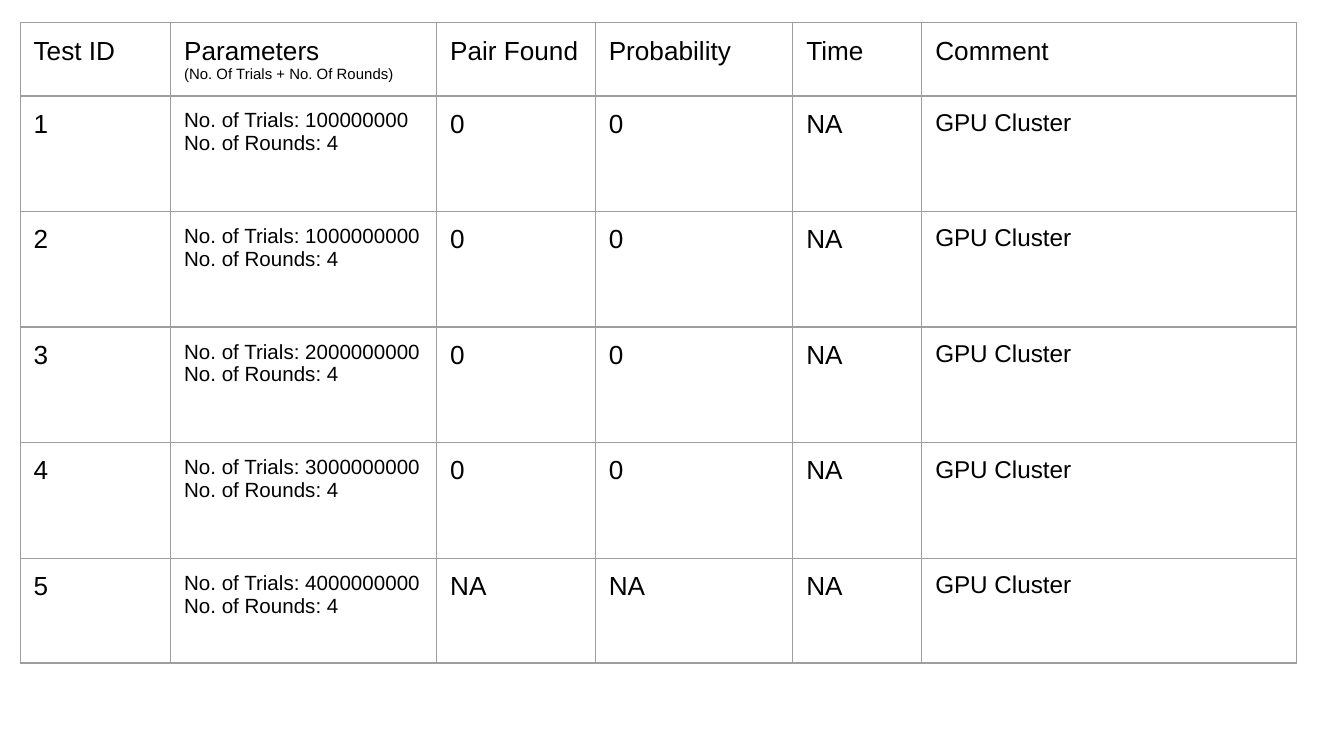
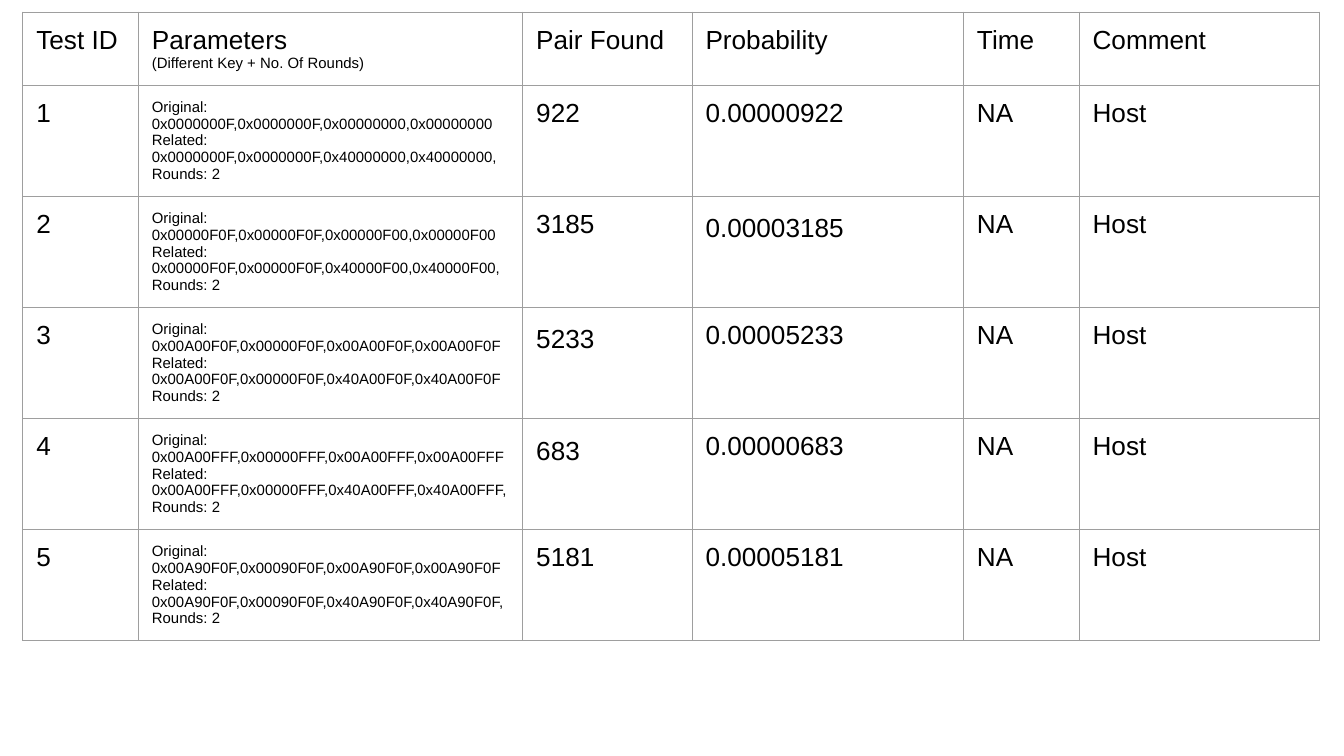
"""Build two slides of test result tables."""
import pptx
import pptx.dml.color
import pptx.oxml.ns
import pptx.util
from lxml import etree

Inches = pptx.util.Inches

GPU_TRIALS = [100000000, 1000000000, 2000000000, 3000000000, 4000000000]
KEY_TESTS = [
    ("0x0000000F,0x0000000F,0x00000000,0x00000000",
     "0x0000000F,0x0000000F,0x40000000,0x40000000,", "922", "0.00000922"),
    ("0x00000F0F,0x00000F0F,0x00000F00,0x00000F00",
     "0x00000F0F,0x00000F0F,0x40000F00,0x40000F00,", "3185", "0.00003185"),
    ("0x00A00F0F,0x00000F0F,0x00A00F0F,0x00A00F0F",
     "0x00A00F0F,0x00000F0F,0x40A00F0F,0x40A00F0F", "5233", "0.00005233"),
    ("0x00A00FFF,0x00000FFF,0x00A00FFF,0x00A00FFF",
     "0x00A00FFF,0x00000FFF,0x40A00FFF,0x40A00FFF,", "683", "0.00000683"),
    ("0x00A90F0F,0x00090F0F,0x00A90F0F,0x00A90F0F",
     "0x00A90F0F,0x00090F0F,0x40A90F0F,0x40A90F0F,", "5181", "0.00005181"),
]


def rgb(hex_string):
    return pptx.dml.color.RGBColor.from_string(hex_string)


def write_text(frame, text, *, font, color, size, later_size=None, spacing=None):
    for index, line in enumerate(text.split("\n")):
        paragraph = frame.paragraphs[0] if index == 0 else frame.add_paragraph()
        if spacing:
            paragraph.line_spacing = spacing
        run = paragraph.add_run()
        run.text = line
        run.font.name = font
        run.font.size = pptx.util.Pt(later_size if index and later_size else size)
        run.font.color.rgb = rgb(color)


class ResultDeck:
    font = "Arial"
    ink = "000000"
    grid = "9E9E9E"
    grid_width = 0.75
    inset = 0.1
    heading_size = 14
    note_size = 8

    def __init__(self):
        self.presentation = pptx.Presentation()
        self.presentation.slide_width = Inches(10)
        self.presentation.slide_height = Inches(10 * 9 / 16)
        self.slide = None

    def new_slide(self):
        blank = self.presentation.slide_layouts[6]
        self.slide = self.presentation.slides.add_slide(blank)

    def outline(self, cell):
        properties = cell._tc.get_or_add_tcPr()
        for side in ("a:lnL", "a:lnR", "a:lnT", "a:lnB"):
            line = etree.SubElement(properties, pptx.oxml.ns.qn(side),
                                    w=str(pptx.util.Pt(self.grid_width)))
            fill = etree.SubElement(line, pptx.oxml.ns.qn("a:solidFill"))
            etree.SubElement(fill, pptx.oxml.ns.qn("a:srgbClr"), val=self.grid)

    def fill_cell(self, cell, text, **text_format):
        inset = Inches(self.inset)
        cell.margin_left = cell.margin_right = inset
        cell.margin_top = cell.margin_bottom = inset
        self.outline(cell)
        cell.fill.background()
        write_text(cell.text_frame, text, font=self.font, color=self.ink, **text_format)

    def result_table(self, left, top, widths, heights, parameter_note, results,
                     sizes, loose_cells=()):
        frame = self.slide.shapes.add_table(
            len(heights), len(widths), Inches(left), Inches(top),
            Inches(sum(widths)), Inches(sum(heights)))
        table = frame.table
        table.first_row = table.horz_banding = False
        for column, width in zip(table.columns, widths):
            column.width = Inches(width)
        for row, height in zip(table.rows, heights):
            row.height = Inches(height)

        headings = ["Test ID", f"Parameters\n({parameter_note})", "Pair Found",
                    "Probability", "Time", "Comment"]
        for column, heading in enumerate(headings):
            self.fill_cell(table.cell(0, column), heading,
                           size=self.heading_size, later_size=self.note_size)
        for test_id, result in enumerate(results, 1):
            for column, value in enumerate([str(test_id), *result]):
                spacing = 1.15 if (test_id, column) in loose_cells else None
                self.fill_cell(table.cell(test_id, column), value,
                               size=sizes[column], spacing=spacing)


def main():
    deck = ResultDeck()

    deck.new_slide()
    gpu_results = []
    for trials in GPU_TRIALS:
        outcome = "NA" if trials == GPU_TRIALS[-1] else "0"
        gpu_results.append((f"No. of Trials: {trials}\nNo. of Rounds: 4",
                            outcome, outcome, "NA", "GPU Cluster"))
    deck.result_table(0.15, 0.17, [1.12, 1.98, 1.18, 1.47, 0.96, 2.79],
                      [0.54] + [0.86] * 4 + [0.78],
                      "No. Of Trials + No. Of Rounds", gpu_results,
                      sizes=[14, 11, 14, 14, 14, 13])

    deck.new_slide()
    key_results = [
        (f"Original:\n{key}\nRelated:\n{related}\nRounds: 2",
         pairs, probability, "NA", "Host")
        for key, related, pairs, probability in KEY_TESTS
    ]
    deck.result_table(0.17, 0.09, [0.86, 2.86, 1.26, 2.02, 0.86, 1.79],
                      [0.42] * 6, "Different Key + No. Of Rounds", key_results,
                      sizes=[14, 8, 14, 14, 14, 14],
                      loose_cells={(2, 3), (3, 2), (4, 2)})

    deck.presentation.save("out.pptx")


if __name__ == "__main__":
    main()
